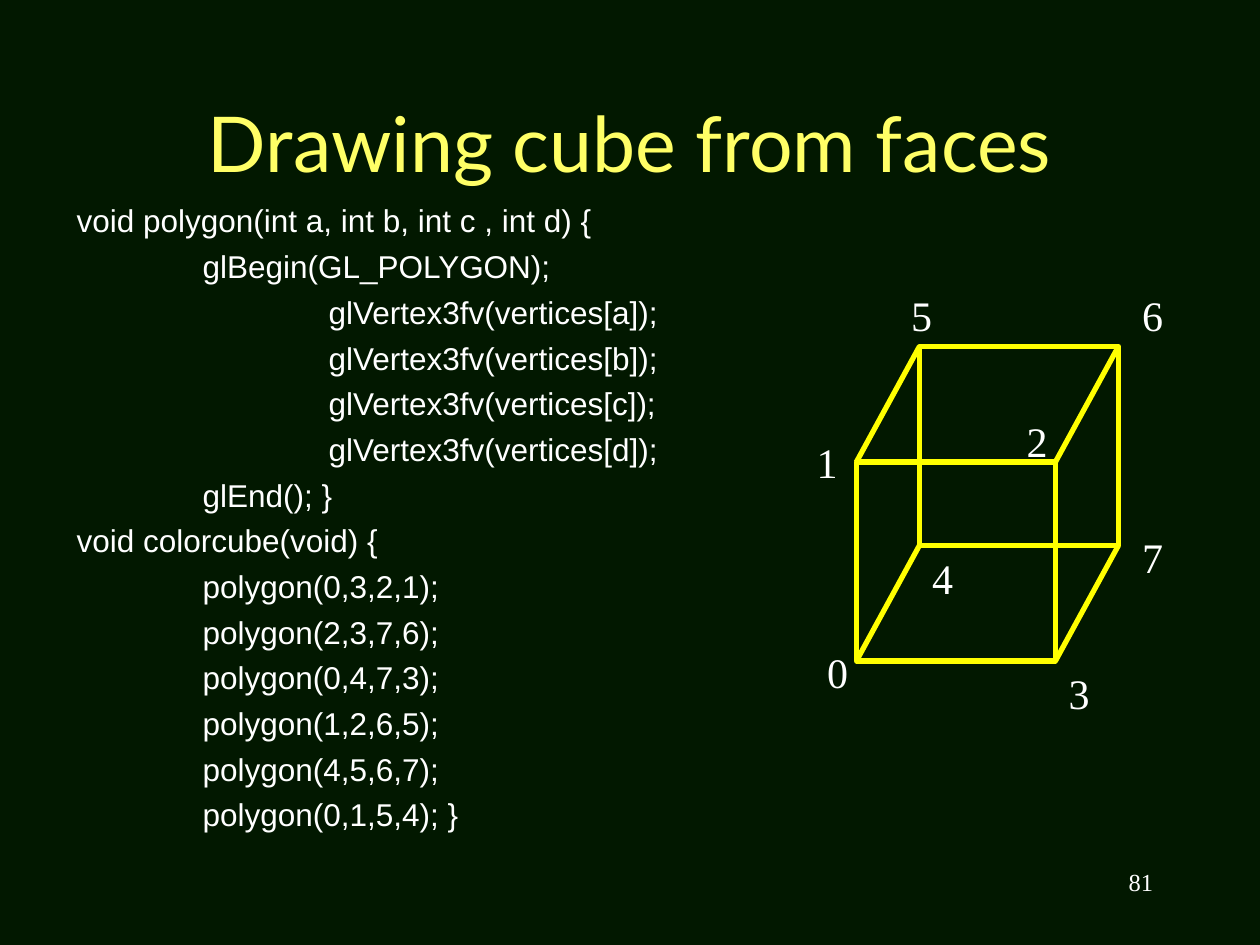
from pptx import Presentation
from pptx.dml.color import RGBColor
from pptx.enum.shapes import MSO_CONNECTOR, MSO_SHAPE
from pptx.enum.text import MSO_ANCHOR, PP_ALIGN
from pptx.oxml.ns import qn
from pptx.util import Pt
from lxml.etree import SubElement

WHITE = "FFFFFF"
CUBE_YELLOW = "FFFF00"
SERIF = "Times New Roman"
SIDE = 113.7
FRONT = (489.4, 264)
BACK = (525.4, 198)
CORNERS = [(0, 0), (SIDE, 0), (0, SIDE), (SIDE, SIDE)]
VERTEX_LABELS = {
    "0": (465.6, 366), "5": (513.5, 162), "6": (645.6, 162), "2": (579.6, 234),
    "4": (525.6, 312), "7": (645.6, 300), "1": (459.5, 246), "3": (603.5, 378),
}
CODE = """void polygon(int a, int b, int c , int d) {
\tglBegin(GL_POLYGON);
\t\tglVertex3fv(vertices[a]);
\t\tglVertex3fv(vertices[b]);
\t\tglVertex3fv(vertices[c]);
\t\tglVertex3fv(vertices[d]);
\tglEnd(); }
void colorcube(void) {
\tpolygon(0,3,2,1);
\tpolygon(2,3,7,6);
\tpolygon(0,4,7,3);
\tpolygon(1,2,6,5);
\tpolygon(4,5,6,7);
\tpolygon(0,1,5,4); }"""


def color(value):
    """Turn a hex string into a colour."""
    return RGBColor.from_string(value)


def add_tabs(paragraph, stops):
    """Add left tab stops to a paragraph."""
    if stops:
        tabs = SubElement(paragraph._p.get_or_add_pPr(), qn("a:tabLst"))
        for stop in stops:
            SubElement(tabs, qn("a:tab"), pos=str(Pt(stop)), algn="l")


def style(paragraph, font, size, ink, align=PP_ALIGN.LEFT):
    """Set the font and alignment of a paragraph."""
    paragraph.alignment = align
    paragraph.font.name = font
    paragraph.font.size = Pt(size)
    paragraph.font.color.rgb = color(ink)


def set_title(page, text):
    """Place and fill the title placeholder."""
    title = page.shapes.title
    title.left, title.top, title.width, title.height = Pt(54), Pt(48), Pt(612), Pt(66)
    title.text_frame.text = text
    title.text_frame.vertical_anchor = MSO_ANCHOR.MIDDLE
    style(title.text_frame.paragraphs[0], "Lato", 44, "FFFF66", PP_ALIGN.CENTER)


def add_text(page, text, left, top, width, height, font, size,
             align=PP_ALIGN.LEFT, gap=0, wrap=True, stops=()):
    """Add a white text box with one paragraph for each line."""
    box = page.shapes.add_textbox(Pt(left), Pt(top), Pt(width), Pt(height))
    box.text_frame.word_wrap = wrap
    box.text_frame.text = text
    for index, paragraph in enumerate(box.text_frame.paragraphs):
        add_tabs(paragraph, stops)
        style(paragraph, font, size, WHITE, align)
        paragraph.space_before = Pt(gap if index else 0)


def outline(shape):
    """Give a shape or connector the cube's line."""
    shape.line.color.rgb = color(CUBE_YELLOW)
    shape.line.width = Pt(3)


def add_face(group, left, top):
    """Add an unfilled square face."""
    face = group.shapes.add_shape(
        MSO_SHAPE.RECTANGLE, Pt(left), Pt(top), Pt(SIDE), Pt(SIDE))
    face.shadow.inherit = False
    face.fill.background()
    outline(face)


def add_edge(group, start, end):
    """Add a straight edge between two points."""
    edge = group.shapes.add_connector(
        MSO_CONNECTOR.STRAIGHT, *(Pt(value) for value in (*start, *end)))
    outline(edge)
    SubElement(edge._element.spPr, qn("a:effectLst"))


def add_cube(page):
    """Draw two faces and join their matching corners."""
    group = page.shapes.add_group_shape()
    for face in (FRONT, BACK):
        add_face(group, *face)
    for across, down in CORNERS:
        start, end = ((left + across, top + down) for left, top in (BACK, FRONT))
        add_edge(group, start, end)


def main():
    """Build and save the slide."""
    deck = Presentation()
    deck.slide_width, deck.slide_height = Pt(720), Pt(540)
    page = deck.slides.add_slide(deck.slide_layouts[5])
    page.background.fill.solid()
    page.background.fill.fore_color.rgb = color("021800")
    set_title(page, "Drawing cube from faces")
    add_text(page, "81", 516, 492, 150, 36, SERIF, 14, PP_ALIGN.RIGHT)
    add_cube(page)
    for label, (left, top) in VERTEX_LABELS.items():
        add_text(page, label, left, top, 26, 36, SERIF, 24, wrap=False)
    add_text(page, CODE, 36.7, 111.6, 414, 369, "Arial", 18, gap=4.5, stops=(72, 144))
    deck.save("out.pptx")


if __name__ == "__main__":
    main()
